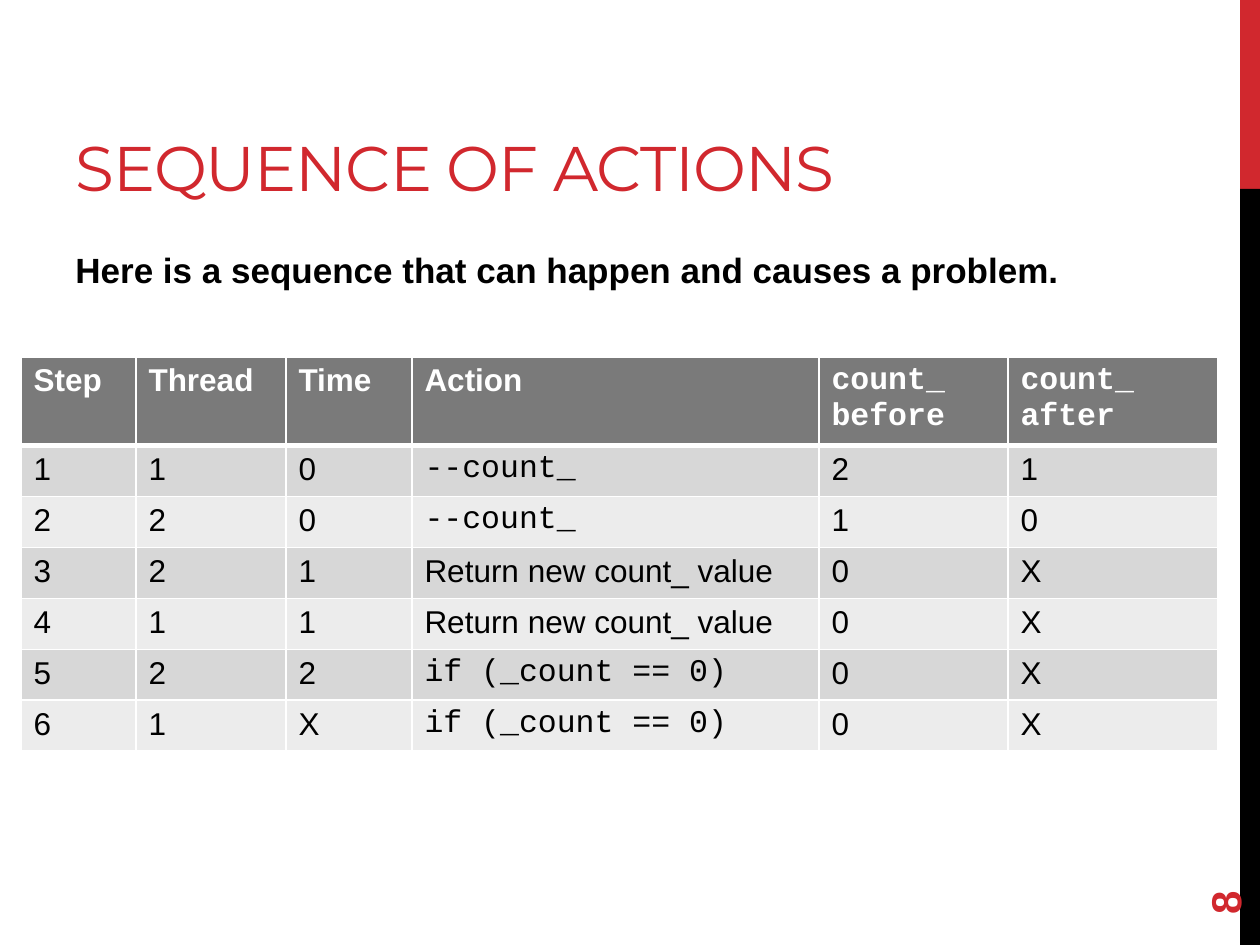
"""Build the slide with the sequence of actions table."""
from lxml.etree import SubElement
from pptx import Presentation
from pptx.dml.color import RGBColor
from pptx.enum.shapes import MSO_SHAPE
from pptx.enum.text import MSO_ANCHOR as Anchor
from pptx.oxml.ns import qn
from pptx.util import Emu, Pt

RED = RGBColor(0xD1, 0x28, 0x2E)
BLACK = RGBColor(0, 0, 0)
WHITE = RGBColor(0xFF, 0xFF, 0xFF)
HEADER_GRAY = RGBColor(0x7A, 0x7A, 0x7A)
BAND_GRAYS = [RGBColor(0xD7, 0xD7, 0xD7), RGBColor(0xEC, 0xEC, 0xEC)]
SCALE = 914400 / 126


def px(*lengths):
    return [Emu(round(length * SCALE)) for length in lengths]


def write(frame, text, size=18, font="Arial", color=BLACK, bold=False,
          anchor=Anchor.TOP, before=0, after=0, spacing=0):
    frame.word_wrap = True
    frame.vertical_anchor = anchor
    paragraph = frame.paragraphs[0]
    paragraph.space_before, paragraph.space_after = Pt(before), Pt(after)
    run = paragraph.add_run()
    run.text = text
    run.font.size, run.font.name, run.font.bold = Pt(size), font, bold
    run.font.color.rgb = color
    if spacing:
        run.font._element.set("spc", str(spacing))


presentation = Presentation()
presentation.slide_width, presentation.slide_height = px(1260, 945)
slide = presentation.slides.add_slide(presentation.slide_layouts[6])
shapes = slide.shapes

for top, height, color in [(0, 189, RED), (189, 756, BLACK)]:
    bar = shapes.add_shape(MSO_SHAPE.RECTANGLE, *px(1240, top, 20, height))
    bar.shadow.inherit = False
    bar.fill.solid()
    bar.fill.fore_color.rgb = color
    bar.line.fill.background()

title = shapes.add_textbox(*px(63, 21, 798, 189))
write(title.text_frame, "SEQUENCE OF ACTIONS", size=36, font="Montserrat",
      color=RED, anchor=Anchor.BOTTOM, spacing=-60)

body = shapes.add_textbox(*px(63, 242, 1050, 602))
write(body.text_frame, "Here is a sequence that can happen and causes a problem.",
      size=20, bold=True, before=2, after=6)

page_number = shapes.add_textbox(*px(1134, 811, 181, 50))
page_number.rotation = 270
write(page_number.text_frame, "8", size=24, color=RED, bold=True,
      anchor=Anchor.MIDDLE)

ROWS = [
    ["Step", "Thread", "Time", "Action", "count_ before", "count_ after"],
    ["1", "1", "0", "--count_", "2", "1"],
    ["2", "2", "0", "--count_", "1", "0"],
    ["3", "2", "1", "Return new count_ value", "0", "X"],
    ["4", "1", "1", "Return new count_ value", "0", "X"],
    ["5", "2", "2", "if (_count == 0)", "0", "X"],
    ["6", "1", "X", "if (_count == 0)", "0", "X"],
]
CODE_STARTS = ("count_", "--", "if")
COLUMN_WIDTHS = [115, 150, 126, 407, 189, 210]
ROW_HEIGHTS = [82] + [51] * 6

table = shapes.add_table(len(ROWS), len(COLUMN_WIDTHS), *px(
    21, 357, sum(COLUMN_WIDTHS), sum(ROW_HEIGHTS))).table
for column, width in zip(table.columns, px(*COLUMN_WIDTHS)):
    column.width = width
for row, height in zip(table.rows, px(*ROW_HEIGHTS)):
    row.height = height

for row_index, texts in enumerate(ROWS):
    is_header = row_index == 0
    border_widths = {"lnL": 1, "lnR": 1, "lnT": 3 if row_index == 1 else 1,
                     "lnB": 3 if is_header else 1}
    for column_index, text in enumerate(texts):
        cell = table.cell(row_index, column_index)
        write(cell.text_frame, text, bold=is_header,
              color=WHITE if is_header else BLACK,
              font="Courier New" if text.startswith(CODE_STARTS) else "Arial")
        properties = cell._tc.get_or_add_tcPr()
        for side, width in border_widths.items():
            border = SubElement(properties, qn(f"a:{side}"), w=str(Pt(width)))
            fill = SubElement(border, qn("a:solidFill"))
            SubElement(fill, qn("a:srgbClr"), val=str(WHITE))
        cell.fill.solid()
        cell.fill.fore_color.rgb = (
            HEADER_GRAY if is_header else BAND_GRAYS[(row_index - 1) % 2])

presentation.save("out.pptx")
